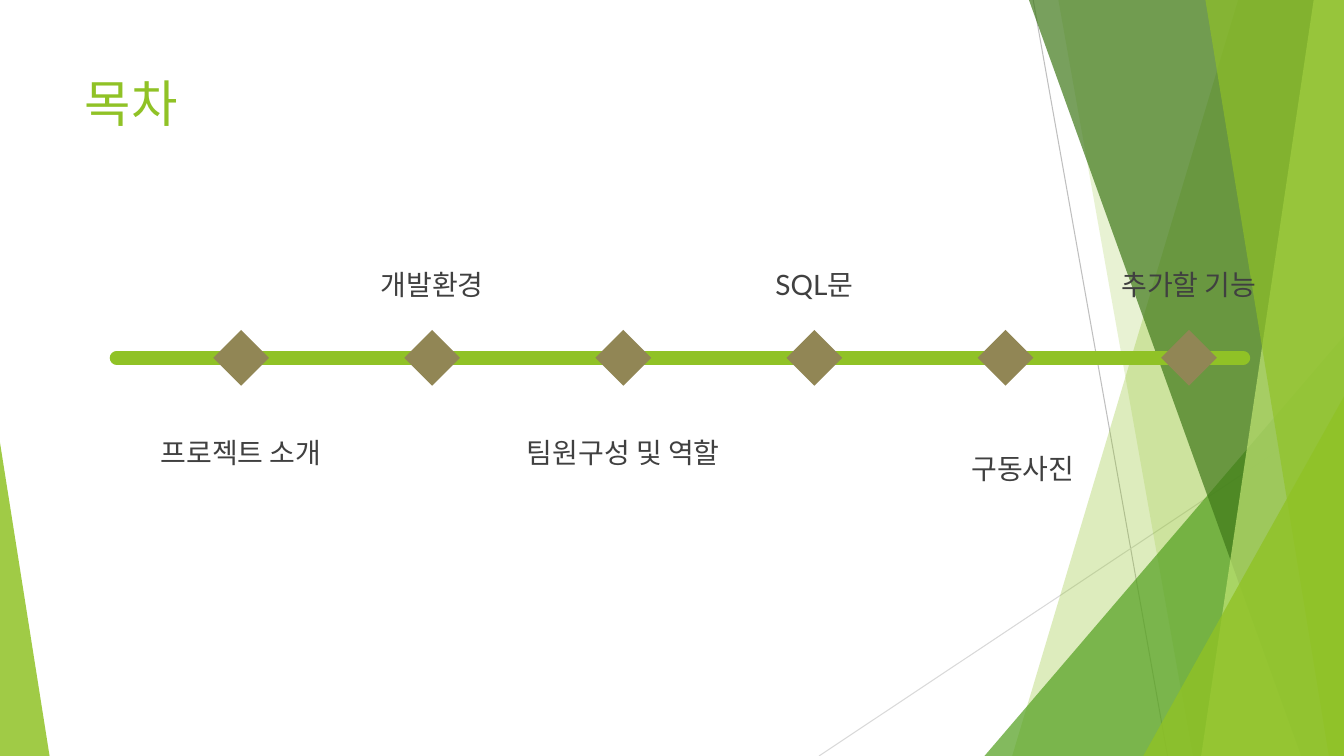
from dataclasses import dataclass

from lxml.etree import SubElement
from pptx import Presentation
from pptx.dml.color import RGBColor
from pptx.enum.shapes import MSO_CONNECTOR, MSO_SHAPE
from pptx.enum.text import MSO_ANCHOR, MSO_AUTO_SIZE, PP_ALIGN
from pptx.oxml.ns import qn
from pptx.util import Inches, Pt

COLUMNS, ROWS = 160, 90  # square cells, twelve to the inch


@dataclass(frozen=True)
class Theme:
    lime: str = "90C226"
    pale_lime: str = "C0E474"
    green: str = "54A021"
    forest: str = "3F7819"
    olive: str = "918655"
    ink: str = "404040"
    grey: str = "BFBFBF"
    light_grey: str = "D9D9D9"
    title_font: str = "Karla"
    label_font: str = "Lato"
    title_size: int = 36
    label_size: int = 20
    hairline: float = 0.75
    axis_width: int = 10


def cells(count):
    return Inches(count / 12)


class SlideBuilder:
    def __init__(self, slide, theme):
        self.shapes = slide.shapes
        self.theme = theme

    def paint(self, shape, color, opacity=100):
        """Fill a shape flat, without outline or shadow."""
        shape.shadow.inherit = False
        shape.line.fill.background()
        shape.fill.solid()
        shape.fill.fore_color.rgb = RGBColor.from_string(color)
        if opacity < 100:
            color_node = shape.fill._xPr.find(qn("a:solidFill"))[0]
            SubElement(color_node, qn("a:alpha"), val=str(opacity * 1000))

    def line(self, start, end, color, width, round_cap=False):
        ends = [cells(value) for value in (*start, *end)]
        connector = self.shapes.add_connector(MSO_CONNECTOR.STRAIGHT, *ends)
        connector.line.color.rgb = RGBColor.from_string(color)
        connector.line.width = Pt(width)
        if round_cap:
            connector.line._get_or_add_ln().set("cap", "rnd")
        SubElement(connector._element.spPr, qn("a:effectLst"))

    def facet(self, top_x, bottom_x, color, opacity):
        """Fill from a slanted edge to the right side of the slide."""
        outline = self.shapes.build_freeform(cells(top_x), 0)
        corners = [(COLUMNS, 0), (COLUMNS, ROWS), (bottom_x, ROWS)]
        outline.add_line_segments([(cells(x), cells(y)) for x, y in corners])
        self.paint(outline.convert_to_shape(), color, opacity)

    def corner(self, left, top, width, peak, color, opacity):
        """Stand a triangle on the bottom edge, its peak at a share of its width."""
        triangle = self.shapes.add_shape(
            MSO_SHAPE.ISOSCELES_TRIANGLE,
            cells(left), cells(top), cells(width), cells(ROWS - top))
        triangle.adjustments[0] = peak
        self.paint(triangle, color, opacity)

    def milestone(self, center_x, center_y, side):
        marker = self.shapes.add_shape(
            MSO_SHAPE.RECTANGLE, cells(center_x - side / 2),
            cells(center_y - side / 2), cells(side), cells(side))
        marker.rotation = 45
        self.paint(marker, self.theme.olive)

    def text(self, wording, left, top, width, height, font, size, color):
        box = self.shapes.add_textbox(*map(cells, (left, top, width, height)))
        frame = box.text_frame
        frame.word_wrap = True
        frame.vertical_anchor = MSO_ANCHOR.TOP
        frame.text = wording
        style = frame.paragraphs[0].runs[0].font
        style.name, style.size = font, Pt(size)
        style.color.rgb = RGBColor.from_string(color)
        return frame

    def title(self, wording):
        self.text(wording, 8.9, 8, 112.8, 17.3, self.theme.title_font,
                  self.theme.title_size, self.theme.lime)

    def label(self, wording, center_x, top, width=27.8):
        frame = self.text(wording, center_x - width / 2, top, width, 6.7,
                          self.theme.label_font, self.theme.label_size,
                          self.theme.ink)
        frame.auto_size = MSO_AUTO_SIZE.SHAPE_TO_FIT_TEXT
        frame.paragraphs[0].alignment = PP_ALIGN.CENTER
        frame.paragraphs[0].line_spacing = 1.5


def draw_backdrop(builder):
    theme = builder.theme
    builder.line((123, 0), (139, ROWS), theme.grey, theme.hairline)
    builder.line((COLUMNS, 48.4), (97.5, ROWS), theme.light_grey, theme.hairline)
    builder.facet(147.4, 120.5, theme.lime, 30)
    builder.facet(126, 142, theme.lime, 20)
    builder.corner(117.2, 40, 42.8, 1, theme.green, 72)
    for top_x, bottom_x, color, opacity in [
        (122.5, 154.9, theme.forest, 70),
        (156.4, 143, theme.pale_lime, 70),
        (143.5, 158.2, theme.lime, 65),
    ]:
        builder.facet(top_x, bottom_x, color, opacity)
    builder.corner(136.1, 47.2, 23.9, 1, theme.lime, 80)
    builder.corner(0, 52.7, 5.9, 0, theme.lime, 85)


def draw_timeline(builder):
    axis_y, first_x, step = 42.6, 28.7, 22.75
    above, below = 29.2, 49.2
    builder.line((13.9, axis_y), (148, axis_y), builder.theme.lime,
                 builder.theme.axis_width, round_cap=True)
    # wording, label top, marker nudge, label nudge
    topics = [
        ("프로젝트 소개", below, 0, 0),
        ("개발환경", above, 0, 0),
        ("팀원구성 및 역할", below, 0, 0),
        ("SQL문", above, 0, 0),
        ("구동사진", below + 2, 0, 2.1),
        ("추가할 기능", above, -0.9, -0.9),
    ]
    for index, (wording, top, marker_nudge, label_nudge) in enumerate(topics):
        stop_x = first_x + index * step
        builder.milestone(stop_x + marker_nudge, axis_y, 4.7)
        builder.label(wording, stop_x + label_nudge, top)


def main():
    deck = Presentation()
    deck.slide_width, deck.slide_height = cells(COLUMNS), cells(ROWS)
    builder = SlideBuilder(deck.slides.add_slide(deck.slide_layouts[6]), Theme())
    draw_backdrop(builder)
    builder.title("목차")
    draw_timeline(builder)
    deck.save("out.pptx")


if __name__ == "__main__":
    main()
